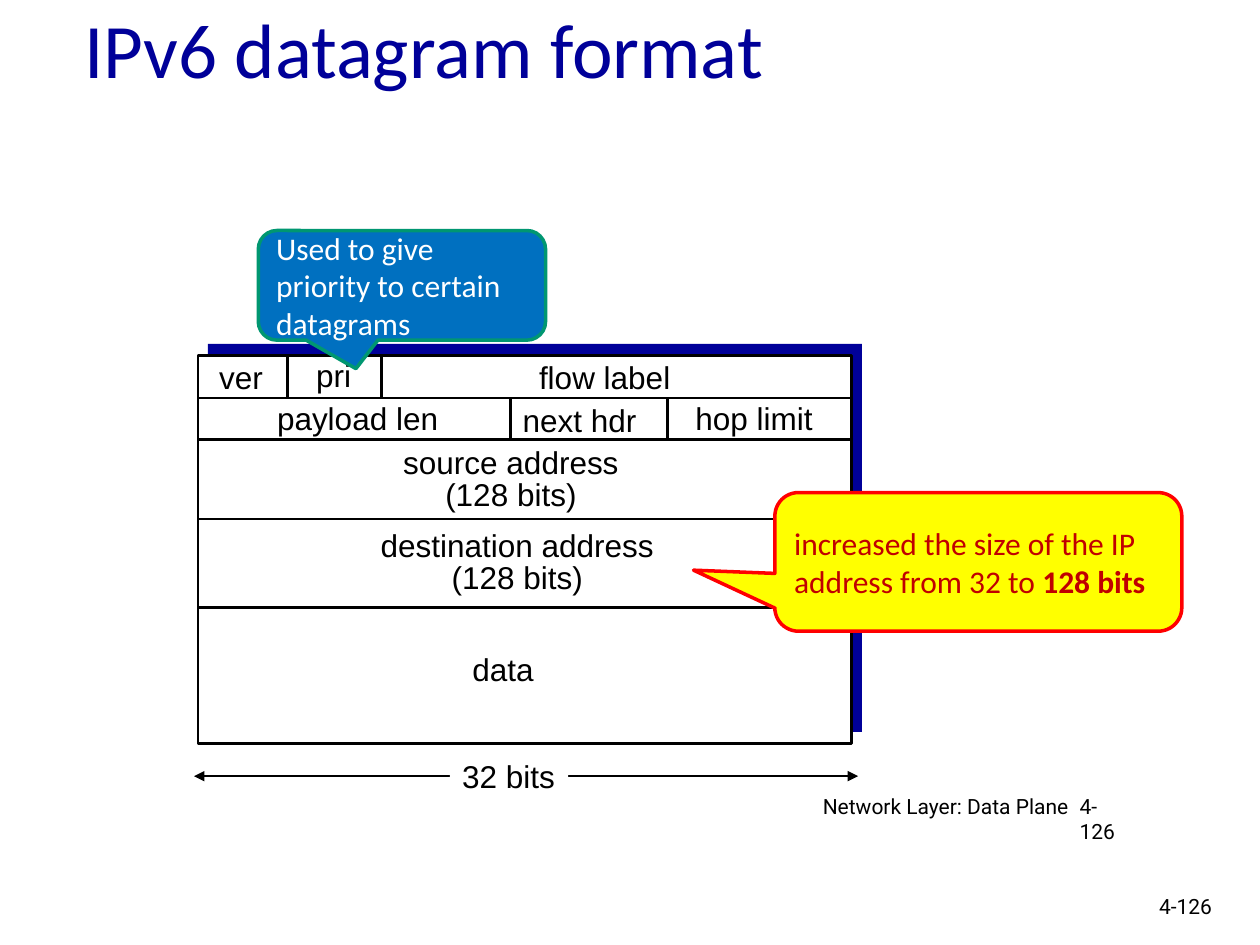
from dataclasses import dataclass

from pptx import Presentation
from pptx.dml.color import RGBColor
from pptx.enum.shapes import MSO_CONNECTOR, MSO_SHAPE
from pptx.enum.text import MSO_ANCHOR, MSO_AUTO_SIZE, PP_ALIGN
from pptx.oxml.ns import qn
from pptx.util import Inches, Pt
from lxml.etree import SubElement

COLORS = {
    "navy": "000099", "black": "000000", "white": "FFFFFF", "blue": "0070C0",
    "teal": "009771", "yellow": "FFFF00", "red": "FF0000", "dark red": "C00000",
}


@dataclass
class Rule:
    """A straight line of the datagram grid."""
    x1: float
    y1: float
    x2: float
    y2: float


@dataclass
class Label:
    text: str
    left: float
    top: float
    width: float
    height: float = 0.4
    font: str = "Arial"
    size: float = 18
    align: PP_ALIGN = PP_ALIGN.LEFT
    spacing: float = 1.0
    wrap: bool = False
    fill: str = ""


@dataclass
class Callout:
    runs: list[str]  # the second run, if any, is bold
    box: tuple[float, float, float, float]
    pointer: tuple[float, float]
    fill: str
    line: str
    text_color: str


def rgb(name: str) -> RGBColor:
    return RGBColor.from_string(COLORS[name])


def style_font(font, name: str, size: float, color: str) -> None:
    font.name, font.size = name, Pt(size)
    font.color.rgb = rgb(color)


def add_panel(slide, kind, box, fill: str, line: str = "", width: float = 1.5):
    panel = slide.shapes.add_shape(kind, *map(Inches, box))
    panel.shadow.inherit = False
    panel.fill.solid()
    panel.fill.fore_color.rgb = rgb(fill)
    if line:
        panel.line.color.rgb = rgb(line)
        panel.line.width = Pt(width)
    else:
        panel.line.fill.background()
    return panel


def add_rule(slide, rule: Rule, width: float = 1.5, arrows: bool = False) -> None:
    ends = map(Inches, (rule.x1, rule.y1, rule.x2, rule.y2))
    connector = slide.shapes.add_connector(MSO_CONNECTOR.STRAIGHT, *ends)
    connector.line.color.rgb = rgb("black")
    connector.line.width = Pt(width)
    if arrows:
        for end in ("a:headEnd", "a:tailEnd"):
            SubElement(connector.line._ln, qn(end), type="triangle")
    SubElement(connector._element.spPr, qn("a:effectLst"))


def add_label(slide, label: Label) -> None:
    box = slide.shapes.add_textbox(
        *map(Inches, (label.left, label.top, label.width, label.height)))
    if label.fill:
        box.fill.solid()
        box.fill.fore_color.rgb = rgb(label.fill)
    frame = box.text_frame
    frame.word_wrap = label.wrap
    frame.auto_size = MSO_AUTO_SIZE.NONE if label.wrap else MSO_AUTO_SIZE.SHAPE_TO_FIT_TEXT
    frame.text = label.text
    for paragraph in frame.paragraphs:
        paragraph.alignment = label.align
        paragraph.line_spacing = label.spacing
        for run in paragraph.runs:
            style_font(run.font, label.font, label.size, "black")


def add_callout(slide, callout: Callout) -> None:
    bubble = add_panel(slide, MSO_SHAPE.ROUNDED_RECTANGULAR_CALLOUT,
                       callout.box, callout.fill, callout.line, 2)
    for index, value in enumerate((*callout.pointer, 0.17)):
        bubble.adjustments[index] = value
    frame = bubble.text_frame
    frame.word_wrap = True
    frame.vertical_anchor = MSO_ANCHOR.MIDDLE
    paragraph = frame.paragraphs[0]
    paragraph.alignment = PP_ALIGN.LEFT
    for index, text in enumerate(callout.runs):
        run = paragraph.add_run()
        run.text = text
        run.font.bold = index == 1
        style_font(run.font, "Calibri", 18, callout.text_color)


# Datagram frame and the heights of its row borders
LEFT, TOP, WIDTH, HEIGHT = 1.57, 2.82, 5.19, 3.08
RIGHT = LEFT + WIDTH
FLOW_BOTTOM, LENGTH_BOTTOM, SOURCE_BOTTOM, DESTINATION_BOTTOM = 3.16, 3.49, 4.12, 4.82

ROW_BORDERS = [Rule(LEFT, y, RIGHT, y) for y in
               (FLOW_BOTTOM, LENGTH_BOTTOM, SOURCE_BOTTOM, DESTINATION_BOTTOM)]
FIELD_BORDERS = (
    [Rule(x, TOP, x, FLOW_BOTTOM) for x in (2.28, 3.03)]
    + [Rule(x, FLOW_BOTTOM, x, LENGTH_BOTTOM) for x in (4.05, 5.3)])

FIELDS = [
    Label("ver", 1.64, 2.79, 0.55),
    Label("pri", 2.41, 2.78, 0.48),
    Label("flow label", 4.18, 2.79, 1.24),
    Label("payload len", 2.1, 3.12, 1.48),
    Label("next hdr", 4.05, 3.13, 1.1),
    Label("hop limit", 5.42, 3.12, 1.13),
    Label("source address\n(128 bits)", 3.1, 3.51, 1.91, 0.61,
          align=PP_ALIGN.CENTER, spacing=0.85),
    Label("destination address\n(128 bits)", 2.92, 4.17, 2.37, 0.61,
          align=PP_ALIGN.CENTER, spacing=0.85),
    Label("data", 3.65, 5.11, 0.69),
]
FOOTERS = [
    Label("4-126", 8.47, 6.25, 0.61, 0.3, "Roboto", 12, wrap=True),
    Label("Network Layer: Data Plane", 6.2, 6.25, 2.38, 0.26, "Roboto", 12,
          PP_ALIGN.RIGHT, wrap=True),
    Label("4-126", 9.1, 7.04, 0.79, 0.33, "Roboto", 12, wrap=True),
]
CALLOUTS = [
    Callout(["Used to give priority to certain datagrams"],
            (2.05, 1.83, 2.28, 0.87), (-0.16, 0.76), "blue", "teal", "white"),
    Callout(["increased the size of the IP address from 32 to ", "128 bits"],
            (6.15, 3.91, 3.23, 1.1), (-0.7, 0.06), "yellow", "red", "dark red"),
]


def main() -> None:
    deck = Presentation()
    deck.slide_width, deck.slide_height = Inches(10), Inches(7.5)
    slide = deck.slides.add_slide(deck.slide_layouts[5])

    # Title
    title = slide.shapes.title
    title.left, title.top, title.width, title.height = map(Inches, (0.57, 0, 8.5, 0.76))
    title.text_frame.text = "IPv6 datagram format"
    title.text_frame.auto_size = MSO_AUTO_SIZE.NONE
    title.text_frame.vertical_anchor = MSO_ANCHOR.MIDDLE
    heading = title.text_frame.paragraphs[0]
    heading.alignment = PP_ALIGN.LEFT
    style_font(heading.runs[0].font, "Calibri", 44, "navy")

    # Datagram with its offset backing
    add_panel(slide, MSO_SHAPE.RECTANGLE, (1.65, 2.73, WIDTH, HEIGHT), "navy")
    add_panel(slide, MSO_SHAPE.RECTANGLE, (LEFT, TOP, WIDTH, HEIGHT), "white", "black")
    for border in ROW_BORDERS + FIELD_BORDERS:
        add_rule(slide, border)
    for field in FIELDS:
        add_label(slide, field)

    # Width of the datagram
    add_rule(slide, Rule(1.54, 6.16, 6.81, 6.16), 0.75, arrows=True)
    add_label(slide, Label("32 bits", 3.57, 5.96, 0.94, fill="white"))

    # Footers and callouts
    for footer in FOOTERS:
        add_label(slide, footer)
    for callout in CALLOUTS:
        add_callout(slide, callout)

    deck.save("out.pptx")


if __name__ == "__main__":
    main()
